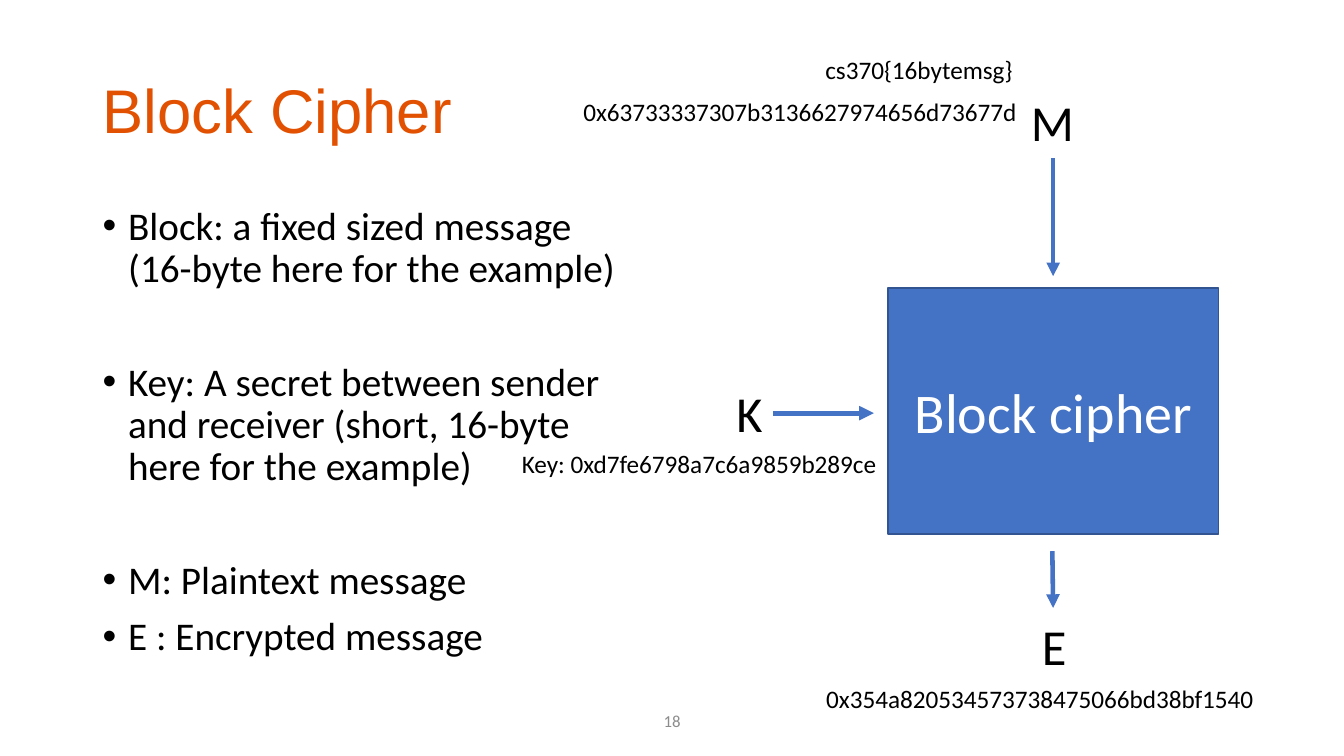
from lxml import etree
from pptx import Presentation
from pptx.dml.color import RGBColor
from pptx.enum.shapes import MSO_CONNECTOR, MSO_SHAPE
from pptx.enum.text import MSO_ANCHOR, MSO_AUTO_SIZE, PP_ALIGN
from pptx.oxml.ns import qn
from pptx.util import Cm, Pt

RECTANGLE = MSO_SHAPE.RECTANGLE
STRAIGHT = MSO_CONNECTOR.STRAIGHT
TOP, MIDDLE = MSO_ANCHOR.TOP, MSO_ANCHOR.MIDDLE
LEFT, CENTER = PP_ALIGN.LEFT, PP_ALIGN.CENTER
GROW, FIXED = MSO_AUTO_SIZE.SHAPE_TO_FIT_TEXT, MSO_AUTO_SIZE.NONE

ORANGE = RGBColor(0xE1, 0x51, 0x01)
BLACK = RGBColor(0x00, 0x00, 0x00)
WHITE = RGBColor(0xFF, 0xFF, 0xFF)
GRAY = RGBColor(0x8C, 0x8C, 0x8C)
BLUE = RGBColor(0x44, 0x72, 0xC4)
DARK_BLUE = RGBColor(0x32, 0x54, 0x91)

LINE_SPACING = 0.9
BULLET_INDENT = Cm(0.64)
WIDE_GAP = 50.75

# Text and space before in points
BULLETS = [
    ("Block: a fixed sized message (16-byte here for the example)", 0),
    ("Key: A secret between sender and receiver (short, 16-byte here for the example)", WIDE_GAP),
    ("M: Plaintext message", WIDE_GAP),
    ("E : Encrypted message", 10),
]

# Text, left, top, width, wrap
VALUES = [
    ("Key: 0xd7fe6798a7c6a9859b289ce", 12.9, 11.18, 9.55, False),
    ("cs370{16bytemsg}", 20.55, 1.24, 5.28, False),
    ("0x63733337307b3136627974656d73677d", 14.45, 2.31, 11.56, False),
    ("0x354a820534573738475066bd38bf1540", 20.57, 17.09, 11.91, True),
]

# Text, left, top, width
SYMBOLS = [
    ("K", 18.31, 9.5, 1.17),
    ("M", 25.73, 2.18, 1.6),
    ("E", 26.01, 15.37, 1.14),
]

# Start x, start y, end x, end y, line width in points
ARROWS = [
    (19.48, 10.41, 22.02, 10.41, 3.5),
    (26.54, 3.99, 26.54, 6.96, 3.25),
    (26.52, 13.89, 26.54, 15.32, 3.25),
]


def set_attributes(target, values):
    for name, value in values.items():
        setattr(target, name, value)


class SlideBuilder:
    def __init__(self, slide, font_name="Calibri"):
        self.slide = slide
        self.font_name = font_name

    def style_paragraph(self, paragraph, text, size, color, font_name=None, **layout):
        paragraph.text = text
        set_attributes(paragraph, layout)
        set_attributes(paragraph.font, {"name": font_name or self.font_name, "size": Pt(size)})
        paragraph.font.color.rgb = color

    def add_text(self, text, box, size, color=BLACK, anchor=TOP, wrap=True,
                 auto_size=FIXED, **style):
        frame = self.slide.shapes.add_textbox(*map(Cm, box)).text_frame
        set_attributes(frame, {"word_wrap": wrap, "auto_size": auto_size,
                               "vertical_anchor": anchor})
        self.style_paragraph(frame.paragraphs[0], text, size, color, **style)

    def add_bullets(self, items, box, size):
        frame = self.slide.shapes.add_textbox(*map(Cm, box)).text_frame
        frame.word_wrap = True
        for index, (text, gap) in enumerate(items):
            paragraph = frame.add_paragraph() if index else frame.paragraphs[0]
            properties = paragraph._p.get_or_add_pPr()
            properties.set("marL", str(BULLET_INDENT))
            properties.set("indent", str(-BULLET_INDENT))
            etree.SubElement(properties, qn("a:buFont"), typeface="Arial")
            etree.SubElement(properties, qn("a:buChar"), char="•")
            self.style_paragraph(paragraph, text, size, BLACK,
                                 line_spacing=LINE_SPACING, space_before=Pt(gap))

    def add_block(self, text, box, size):
        shape = self.slide.shapes.add_shape(RECTANGLE, *map(Cm, box))
        shape.shadow.inherit = False
        shape.fill.solid()
        shape.fill.fore_color.rgb = BLUE
        shape.line.color.rgb = DARK_BLUE
        shape.line.width = Pt(1)
        frame = shape.text_frame
        set_attributes(frame, {"word_wrap": True, "vertical_anchor": MIDDLE})
        self.style_paragraph(frame.paragraphs[0], text, size, WHITE, alignment=CENTER)

    def add_arrow(self, ends, width):
        connector = self.slide.shapes.add_connector(STRAIGHT, *map(Cm, ends))
        connector.line.color.rgb = BLUE
        connector.line.width = Pt(width)
        etree.SubElement(connector.line._get_or_add_ln(), qn("a:tailEnd"), type="triangle")
        etree.SubElement(connector._element.spPr, qn("a:effectLst"))


def main():
    presentation = Presentation()
    set_attributes(presentation, {"slide_width": Cm(33.87), "slide_height": Cm(19.05)})
    builder = SlideBuilder(presentation.slides.add_slide(presentation.slide_layouts[6]))

    builder.add_text("Block Cipher", (2.34, 1.02, 29.21, 3.68), 44, ORANGE, MIDDLE,
                     font_name="Arial", line_spacing=LINE_SPACING)
    builder.add_bullets(BULLETS, (2.34, 5.08, 14.05, 12.09), 28)
    builder.add_text("18", (13.13, 17.65, 7.62, 1.02), 12, GRAY, MIDDLE, alignment=CENTER)
    builder.add_block("Block cipher", (22.38, 7.26, 8.33, 6.2), 40)

    for text, left, top, width, wrap in VALUES:
        builder.add_text(text, (left, top, width, 1.02), 18, wrap=wrap,
                         auto_size=GROW, alignment=LEFT)
    for text, left, top, width in SYMBOLS:
        builder.add_text(text, (left, top, width, 1.8), 36, wrap=False,
                         auto_size=GROW, alignment=LEFT)
    for *ends, width in ARROWS:
        builder.add_arrow(ends, width)

    presentation.save("out.pptx")


if __name__ == "__main__":
    main()
